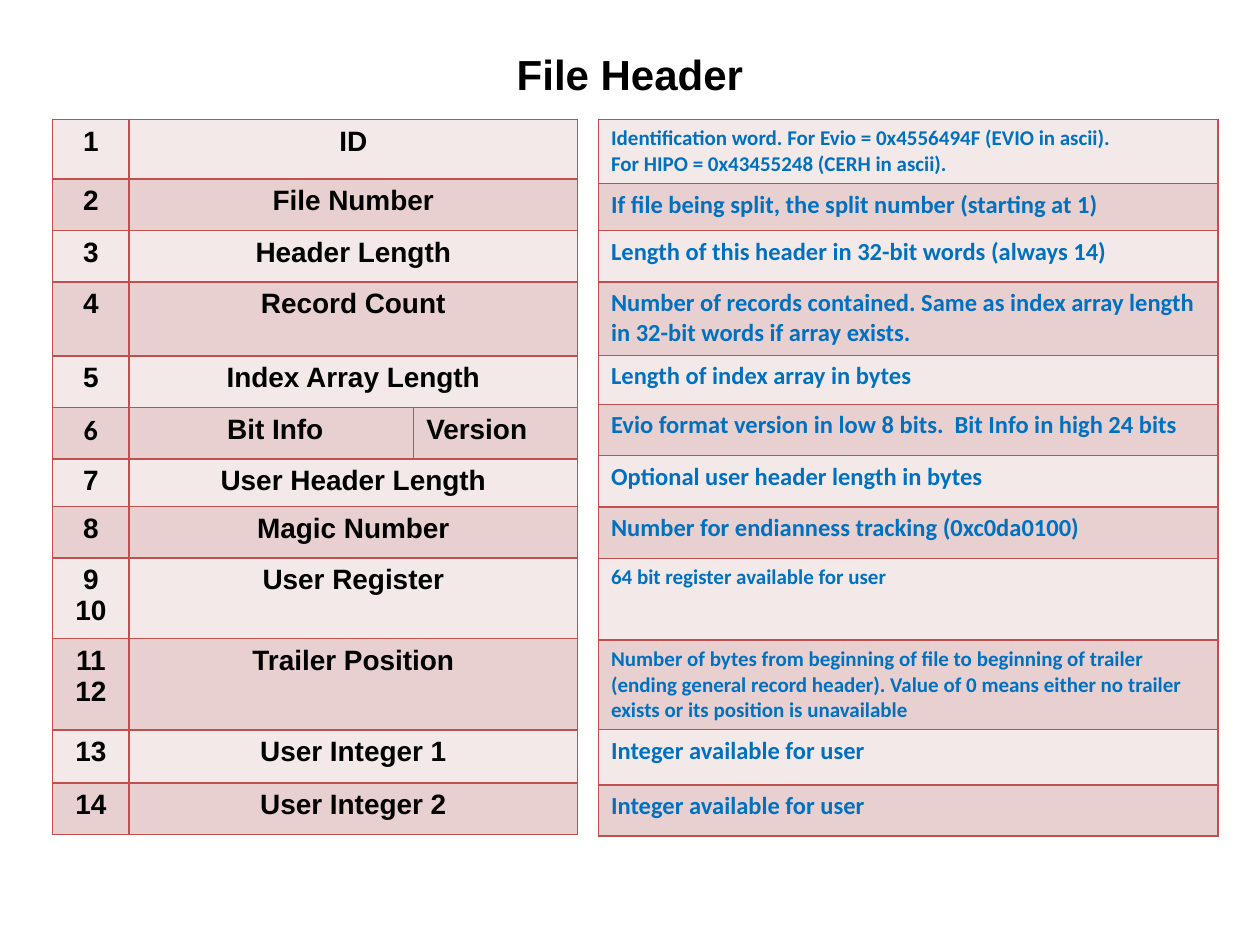
from lxml.etree import SubElement, fromstring
from pptx import Presentation
from pptx.dml.color import RGBColor as Color
from pptx.enum.text import MSO_ANCHOR as Anchor, PP_ALIGN as Align
from pptx.oxml.ns import qn
from pptx.util import Pt

COLORS = {
    "title": "000000",
    "field": "000000",
    "note": "0070C0",
    "border": "C0504D",
    "light": "F4E9E9",
    "dark": "E8D0D0",
}
SHADOW = (
    '<a:effectLst xmlns:a="http://schemas.openxmlformats.org/drawingml/2006/main">'
    '<a:outerShdw blurRad="38100" dist="38100" dir="2700000" algn="tl">'
    '<a:srgbClr val="000000"><a:alpha val="43000"/></a:srgbClr>'
    "</a:outerShdw></a:effectLst>"
)
TOP = 68.4

FIELDS = [
    (34, "1", "ID"),
    (29.4, "2", "File Number"),
    (29.4, "3", "Header Length"),
    (42.4, "4", "Record Count"),
    (29.4, "5", "Index Array Length"),
    (29.4, "6", " Bit Info", "Version"),
    (27.2, "7", "User Header Length"),
    (29.4, "8", "Magic Number"),
    (46, "9\n10", "User Register"),
    (52.3, "11\n12", "Trailer Position"),
    (30.3, "13", "User Integer 1"),
    (29.4, "14", "User Integer 2"),
]
NOTES = [
    (36, 12, "Identification word. For Evio = 0x4556494F (EVIO in ascii).\n"
             "For HIPO = 0x43455248 (CERH in ascii)."),
    (26.8, 14, "If file being split, the split number (starting at 1)"),
    (29.4, 14, "Length of this header in 32-bit words (always 14)"),
    (42, 14, "Number of records contained. Same as index array length "
             "in 32-bit words if array exists."),
    (28, 14, "Length of index array in bytes"),
    (29.4, 14, "Evio format version in low 8 bits.  Bit Info in high 24 bits"),
    (29.4, 14, "Optional user header length in bytes"),
    (29.2, 14, "Number for endianness tracking (0xc0da0100)"),
    (46.8, 12, "64 bit register available for user"),
    (50.6, 12, "Number of bytes from beginning of file to beginning of trailer "
               "(ending general record header). Value of 0 means either no trailer "
               "exists or its position is unavailable"),
    (31.7, 14, "Integer available for user"),
    (29.2, 14, "Integer available for user"),
]


class HeaderSlide:
    def __init__(self, deck):
        self.page = deck.slides.add_slide(deck.slide_layouts[5])

    def style(self, para, size, color, font="Arial", align=Align.LEFT):
        para.alignment = align
        para.font.size = Pt(size)
        para.font.name = font
        para.font.bold = True
        para.font.color.rgb = Color.from_string(COLORS[color])

    def title(self, text, left, top, width, height):
        box = self.page.shapes.title
        box.left, box.top, box.width, box.height = map(Pt, (left, top, width, height))
        frame = box.text_frame
        frame.text = text
        frame.vertical_anchor = Anchor.MIDDLE
        para = frame.paragraphs[0]
        self.style(para, 24, "title", align=Align.CENTER)
        span = para.runs[0]
        span._r.get_or_add_rPr().append(fromstring(SHADOW))

    def table(self, left, top, widths, heights):
        frame = self.page.shapes.add_table(
            len(heights), len(widths), Pt(left), Pt(top), Pt(sum(widths)), Pt(sum(heights)))
        table = frame.table
        table.first_row = table.horz_banding = False
        for column, width in zip(table.columns, widths):
            column.width = Pt(width)
        for index, (row, height) in enumerate(zip(table.rows, heights)):
            row.height = Pt(height)
            for cell in row.cells:
                self.borders(cell)
                cell.fill.solid()
                shade = "dark" if index % 2 else "light"
                cell.fill.fore_color.rgb = Color.from_string(COLORS[shade])
        return table

    def borders(self, cell):
        props = cell._tc.get_or_add_tcPr()
        for side in ("a:lnL", "a:lnR", "a:lnT", "a:lnB"):
            line = SubElement(props, qn(side), w=str(Pt(1)))
            fill = SubElement(line, qn("a:solidFill"))
            SubElement(fill, qn("a:srgbClr"), val=COLORS["border"])

    def fill_cell(self, cell, text, *style):
        cell.text = text
        for para in cell.text_frame.paragraphs:
            self.style(para, *style)

    def fields(self, left, widths, rows):
        table = self.table(left, TOP, widths, [row[0] for row in rows])
        for index, (_, number, name, *extra) in enumerate(rows):
            number_font = "Calibri" if extra else "Arial"
            self.fill_cell(table.cell(index, 0), number, 16, "field", number_font, Align.CENTER)
            self.fill_cell(table.cell(index, 1), name, 16, "field", "Arial", Align.CENTER)
            if extra:
                self.fill_cell(table.cell(index, 2), extra[0], 16, "field")
            else:
                table.cell(index, 1).merge(table.cell(index, 2))

    def notes(self, left, width, rows):
        table = self.table(left, TOP, [width], [row[0] for row in rows])
        for index, (_, size, text) in enumerate(rows):
            self.fill_cell(table.cell(index, 0), text, size, "note", "Calibri")


def main():
    deck = Presentation()
    deck.slide_width, deck.slide_height = Pt(720), Pt(540)
    slide = HeaderSlide(deck)
    slide.title("File Header", 174, 24, 372, 36)
    slide.fields(30, [43.8, 162.6, 93.6], FIELDS)
    slide.notes(342, 354, NOTES)
    deck.save("out.pptx")


if __name__ == "__main__":
    main()
